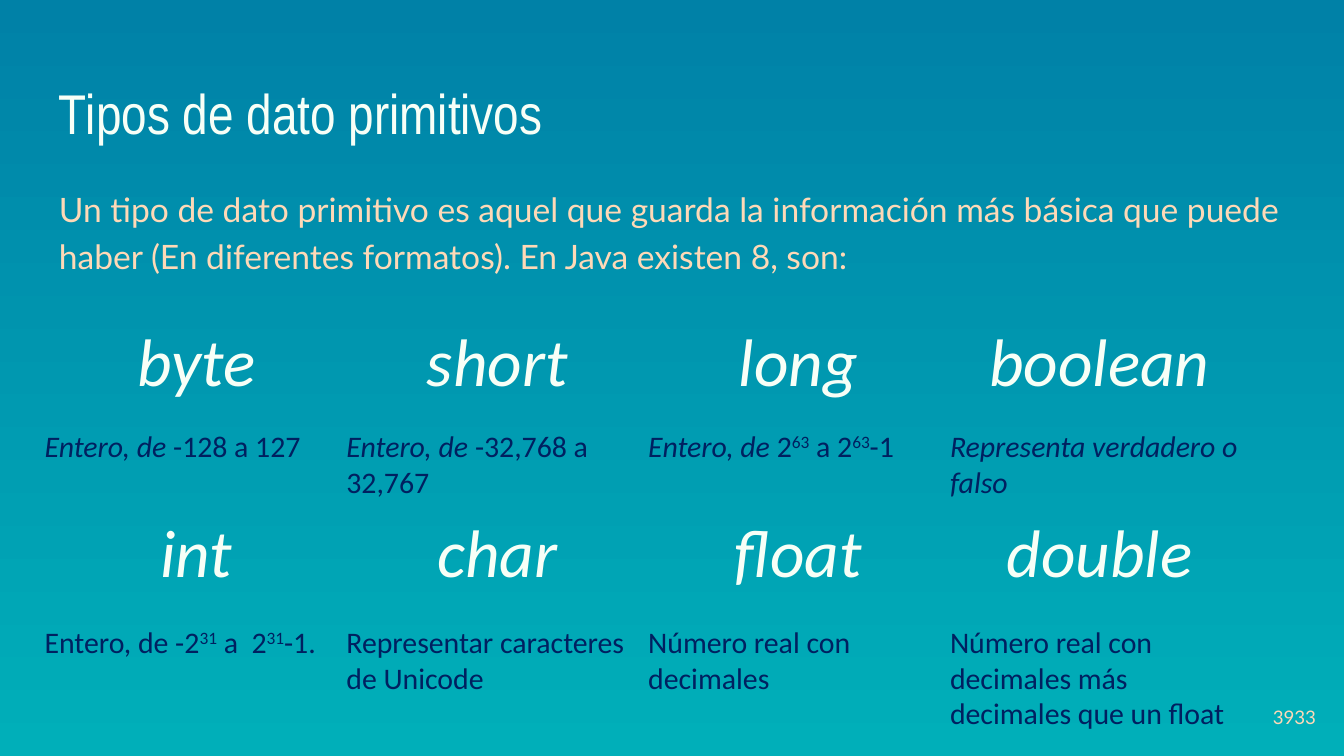
from pptx import Presentation
from pptx.dml.color import RGBColor
from pptx.enum.text import MSO_ANCHOR, PP_ALIGN
from pptx.util import Pt

LEFT, MID, RIGHT = PP_ALIGN.LEFT, PP_ALIGN.CENTER, PP_ALIGN.RIGHT
TOP, MIDDLE = MSO_ANCHOR.TOP, MSO_ANCHOR.MIDDLE
WHITE = RGBColor(0xF7, 0xFF, 0xF7)
PEACH = RGBColor(0xFE, 0xD9, 0xB7)
NAVY = RGBColor(0x00, 0x20, 0x60)
BLUE = RGBColor(0x00, 0x81, 0xA7)
TEAL = RGBColor(0x00, 0xAF, 0xB9)
NO_GRID = "{2D5ABB26-0587-4C30-8999-92F81FD0307C}"

deck = Presentation()
deck.slide_width, deck.slide_height = Pt(720), Pt(405)
slide = deck.slides.add_slide(deck.slide_layouts[6])

back = slide.background.fill
back.gradient()
back.gradient_angle = 270
for stop, color in zip(back.gradient_stops, (BLUE, TEAL)):
    stop.color.rgb = color


def write(frame, text, lead="", size=16, font="Calibri", color=NAVY,
          italic=False, align=LEFT):
    para = frame.paragraphs[0]
    para.alignment = align
    parts = [(lead, True, False)]
    parts += [(part, italic, i % 2 == 1) for i, part in enumerate(text.split("^"))]
    for part, slant, raised in parts:
        if part:
            run = para.add_run()
            run.text = part
            run.font.size = Pt(size)
            run.font.name = font
            run.font.color.rgb = color
            run.font.italic = slant
            if raised:
                run.font._element.set("baseline", "30000")
    return para


def add_box(left, top, width, height, pad=7.2, anchor=TOP):
    frame = slide.shapes.add_textbox(Pt(left), Pt(top), Pt(width), Pt(height)).text_frame
    frame.word_wrap = True
    frame.vertical_anchor = anchor
    frame.margin_left = frame.margin_right = Pt(pad)
    frame.margin_top = frame.margin_bottom = Pt(pad)
    return frame


write(add_box(24.5, 35, 671, 45), "Tipos de dato primitivos",
      size=30, font="Arial Narrow", color=WHITE)
intro = write(
    add_box(24.5, 91, 671, 66),
    "Un tipo de dato primitivo es aquel que guarda la información más básica "
    "que puede haber (En diferentes formatos). En Java existen 8, son:",
    size=18, font="Lato", color=PEACH)
intro.line_spacing = 1.15
intro.space_after = Pt(16)
write(add_box(669, 368.5, 43, 31, anchor=MIDDLE), "3933",
      size=10, font="Lato", color=PEACH, align=RIGHT)

names = [["byte", "short", "long", "boolean"],
         ["int", "char", "float", "double"]]
table = slide.shapes.add_table(2, 4, Pt(24.5), Pt(169), Pt(645.2), Pt(204.4)).table
table.first_row = table.horz_banding = False
table._tbl.tblPr[0].text = NO_GRID
for col in table.columns:
    col.width = Pt(161.3)
for row, line in zip(table.rows, names):
    row.height = Pt(102.2)
    for cell, name in zip(row.cells, line):
        cell.fill.background()
        write(cell.text_frame, name, size=36, color=WHITE, italic=True, align=MID)

notes = [
    [("Entero, de ", "-128 a 127"),
     ("Entero, de ", "-32,768 a 32,767"),
     ("Entero, de ", "2^63^ a 2^63^-1"),
     ("Representa verdadero o falso", "")],
    [("", "Entero, de -2^31^ a  2^31^-1."),
     ("", "Representar caracteres de Unicode"),
     ("", "Número real con decimales"),
     ("", "Número real con decimales más decimales que un float")],
]
for top, line in zip((229, 334), notes):
    for i, (lead, text) in enumerate(line):
        write(add_box(23.9 + 161.7 * i, top, 161.3, 39, pad=0), text, lead=lead)

deck.save("out.pptx")
